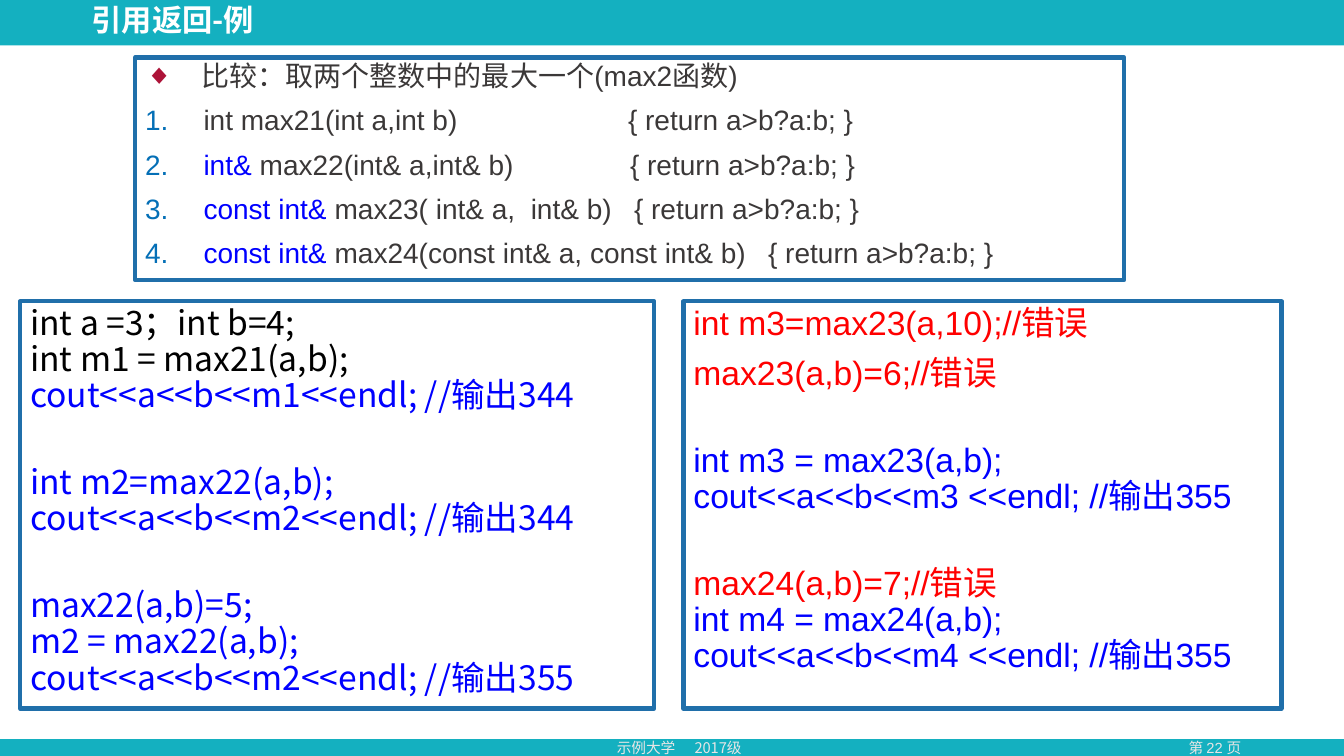
from pptx import Presentation
from pptx.dml.color import RGBColor
from pptx.enum.shapes import MSO_SHAPE
from pptx.enum.text import MSO_ANCHOR, PP_ALIGN
from pptx.oxml.ns import qn
from pptx.util import Inches, Pt
from lxml import etree

TEAL = RGBColor(0x14, 0xB0, 0xC0)
BORDER = RGBColor(0x20, 0x6F, 0xAA)
NUMBER = RGBColor(0x04, 0x6F, 0xB6)
DIAMOND = RGBColor(0xAD, 0x13, 0x38)
WHITE = RGBColor(0xFF, 0xFF, 0xFF)
PALE = RGBColor(0xE7, 0xE6, 0xE6)
GRAY = RGBColor(0x3B, 0x38, 0x38)
BLACK = RGBColor(0, 0, 0)
BLUE = RGBColor(0, 0, 0xFF)
RED = RGBColor(0xFF, 0, 0)
LATIN, CJK = "Arial", "Noto Sans CJK SC"

# Content: function list as (return type, its colour, signature, body position)
HEADING = "比较：取两个整数中的最大一个(max2函数)"
BODY = "{ return a>b?a:b; }"
FUNCTIONS = [
    ("int ", GRAY, "max21(int a,int b)", 4.79),
    ("int& ", BLUE, "max22(int& a,int& b)", 4.81),
    ("const int& ", BLUE, "max23( int& a,  int& b)", 4.85),
    ("const int& ", BLUE, "max24(const int& a, const int& b)", 6.18),
]

# Code panels: (left, width, font, lines); a line is (text, colour, points before)
GAP, STEP = 36, 10
PANELS = [
    (0.2, 6.29, CJK, [
        ("int a =3；int b=4;", BLACK, 0),
        ("int m1 = max21(a,b);", BLACK, 0),
        ("cout<<a<<b<<m1<<endl; //输出344", BLUE, 0),
        ("int m2=max22(a,b);", BLUE, GAP),
        ("cout<<a<<b<<m2<<endl; //输出344", BLUE, 0),
        ("max22(a,b)=5;", BLUE, GAP),
        ("m2 = max22(a,b);", BLUE, 0),
        ("cout<<a<<b<<m2<<endl; //输出355", BLUE, 0),
    ]),
    (6.78, 5.93, LATIN, [
        ("int m3=max23(a,10);//错误", RED, 0),
        ("max23(a,b)=6;//错误", RED, STEP),
        ("int m3 = max23(a,b);", BLUE, GAP),
        ("cout<<a<<b<<m3 <<endl; //输出355", BLUE, 0),
        ("max24(a,b)=7;//错误", RED, GAP),
        ("int m4 = max24(a,b);", BLUE, 0),
        ("cout<<a<<b<<m4 <<endl; //输出355", BLUE, 0),
    ]),
]

# Small texts: (text, left, top, width, height, align, tab, format)
FOOTER = dict(size=10.5, color=PALE)
LABELS = [
    ("引用返回-例", 0.81, 0, 9.5, 0.44, PP_ALIGN.LEFT, None,
     dict(size=21.6, color=WHITE, font=CJK, bold=True)),
    ("示例大学\t2017级", 6.02, 7.29, 1.84, 0.28, PP_ALIGN.LEFT, 0.77,
     dict(FOOTER, font=CJK)),
    ("第 22 页", 11.32, 7.29, 1.46, 0.28, PP_ALIGN.CENTER, None,
     dict(FOOTER, font=LATIN)),
]


def add_span(para, text, *, size, color, font=LATIN, bold=False):
    span = para.add_run()
    span.text = text
    span.font.size, span.font.name, span.font.bold = Pt(size), font, bold
    span.font.color.rgb = color
    etree.SubElement(span.font._element, qn("a:ea"), typeface=CJK)


def add_box(left, top, width, height, fill=None, line=None):
    box = page.shapes.add_shape(MSO_SHAPE.RECTANGLE, Inches(left), Inches(top),
                                Inches(width), Inches(height))
    box.shadow.inherit = False
    if fill is None:
        box.fill.background()
    else:
        box.fill.solid()
        box.fill.fore_color.rgb = fill
    if line is None:
        box.line.fill.background()
    else:
        box.line.color.rgb = line
        box.line.width = Pt(3)
    box.text_frame.word_wrap = True
    box.text_frame.vertical_anchor = MSO_ANCHOR.TOP
    return box


def add_para(frame, before=0):
    first = frame.paragraphs[0]
    para = frame.add_paragraph() if first.runs else first
    para.alignment = PP_ALIGN.LEFT
    para.line_spacing = 0.9
    para.space_before = Pt(before)
    return para


def set_bullet(para, color, indent, kind, value):
    """Hang a bullet or number in front of the paragraph."""
    props = para._p.get_or_add_pPr()
    props.set("marL", str(Inches(indent)))
    props.set("indent", str(-Inches(indent)))
    tint = etree.SubElement(props, qn("a:buClr"))
    etree.SubElement(tint, qn("a:srgbClr"), val=str(color))
    etree.SubElement(props, qn("a:buFont"), typeface=LATIN)
    etree.SubElement(props, qn("a:" + kind)).set(*value)


def set_tab(para, tab):
    stops = etree.SubElement(para._p.get_or_add_pPr(), qn("a:tabLst"))
    etree.SubElement(stops, qn("a:tab"), pos=str(Inches(tab)), algn="l")


deck = Presentation()
deck.slide_width, deck.slide_height = Inches(13.33), Inches(7.5)
page = deck.slides.add_slide(deck.slide_layouts[6])

# Teal ground with the white content area on it
add_box(0, 0, 13.33, 7.5, fill=TEAL)
add_box(0, 0.45, 13.33, 6.88, fill=WHITE)

# Title and footer
for text, left, top, width, height, align, tab, style in LABELS:
    box = page.shapes.add_textbox(Inches(left), Inches(top), Inches(width), Inches(height))
    box.text_frame.word_wrap = True
    box.text_frame.vertical_anchor = MSO_ANCHOR.MIDDLE
    para = add_para(box.text_frame)
    para.alignment = align
    if tab:
        set_tab(para, tab)
    add_span(para, text, **style)

# Function list
frame = add_box(1.34, 0.57, 9.81, 2.21, line=BORDER).text_frame
para = add_para(frame)
set_bullet(para, DIAMOND, 0.56, "buChar", ("char", "◆"))
add_span(para, HEADING, size=20, color=GRAY)
for returned, color, signature, tab in FUNCTIONS:
    para = add_para(frame, STEP)
    set_bullet(para, NUMBER, 0.58, "buAutoNum", ("type", "arabicPeriod"))
    set_tab(para, tab)
    add_span(para, returned, size=20, color=color)
    add_span(para, signature + "\t" + BODY, size=20, color=GRAY)

# Code panels
for left, width, font, lines in PANELS:
    frame = add_box(left, 2.99, width, 4.04, line=BORDER).text_frame
    for text, color, before in lines:
        add_span(add_para(frame, before), text, size=24, color=color, font=font)

deck.save("out.pptx")
